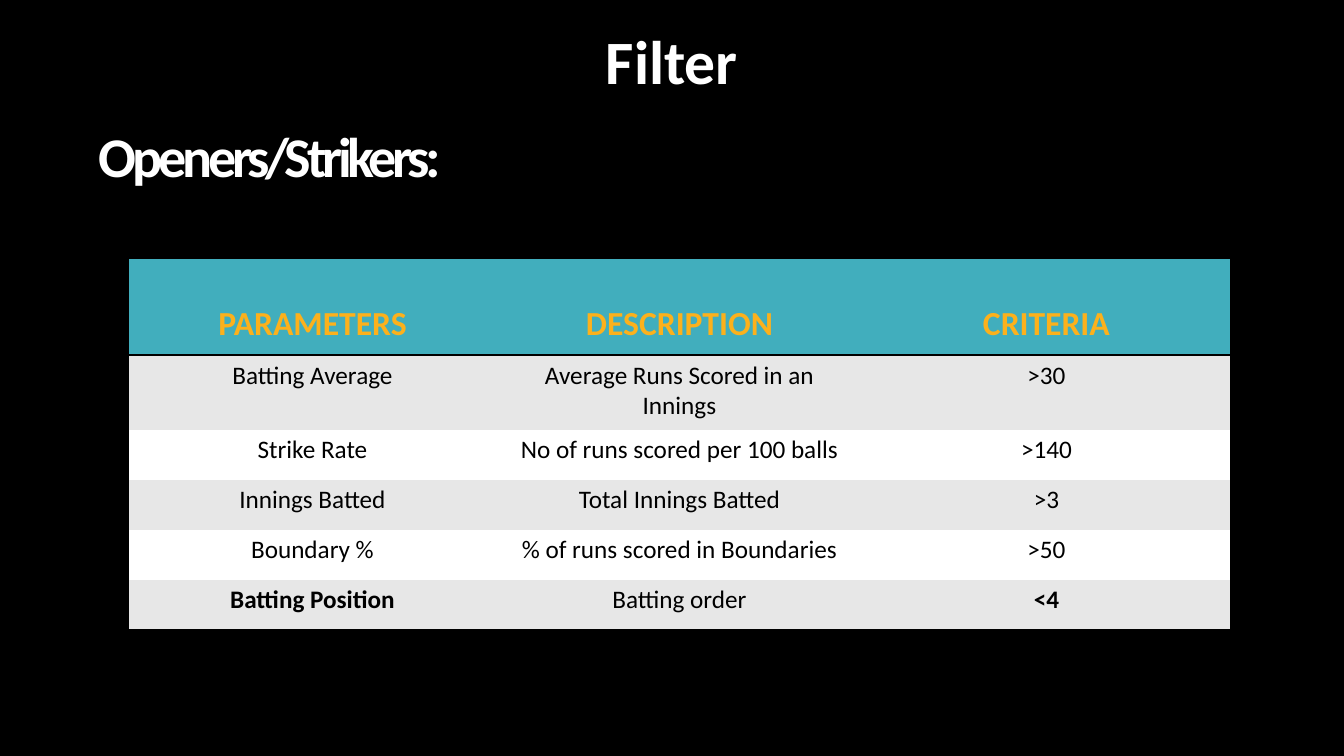
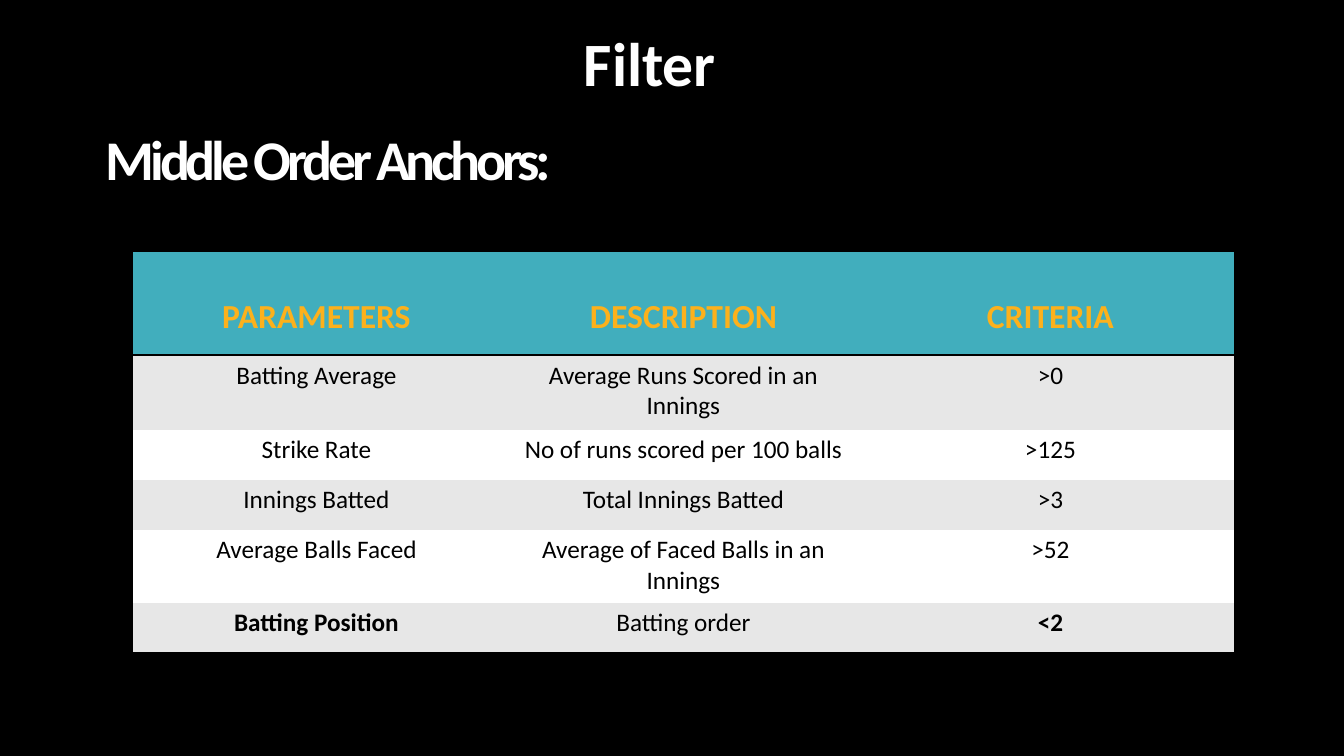
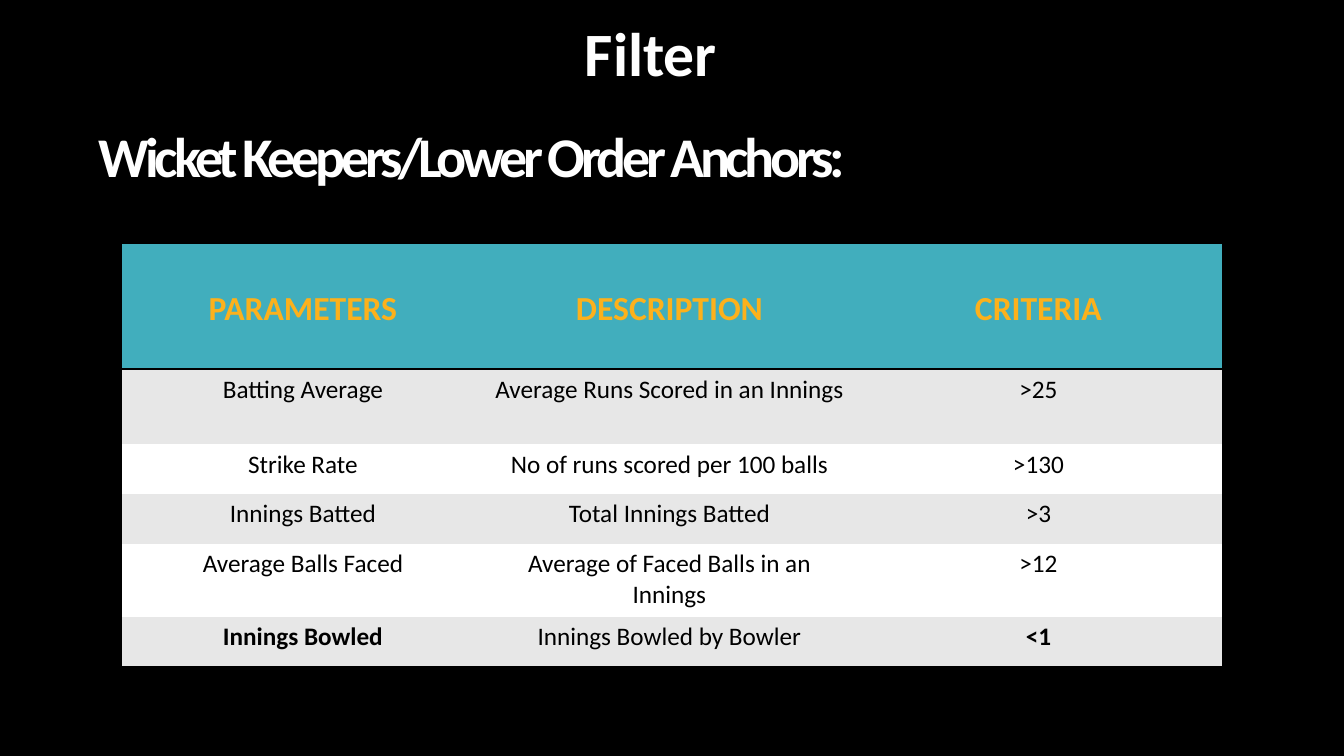
from lxml import etree
from pptx import Presentation
from pptx.dml.color import RGBColor
from pptx.enum.text import MSO_ANCHOR, MSO_AUTO_SIZE, PP_ALIGN
from pptx.oxml.ns import qn
from pptx.util import Pt

LEFT, CENTER = PP_ALIGN.LEFT, PP_ALIGN.CENTER
TOP, BOTTOM = MSO_ANCHOR.TOP, MSO_ANCHOR.BOTTOM
NO_AUTOFIT = MSO_AUTO_SIZE.NONE

BLACK = RGBColor(0x00, 0x00, 0x00)
WHITE = RGBColor(0xFF, 0xFF, 0xFF)
TEAL = RGBColor(0x41, 0xAE, 0xBD)
AMBER = RGBColor(0xFC, 0xB1, 0x1C)
GREY = RGBColor(0xE7, 0xE7, 0xE7)

PAGE_WIDTH, PAGE_HEIGHT = 1344, 756
SCALE = 12192000 / PAGE_WIDTH
FONT = "Calibri"
PLAIN_TABLE = "{2D5ABB26-0587-4C30-8999-92F81FD0307C}"
HEADER_PADDING = 46
RULE_WIDTH = Pt(2)

TITLE = {"size": Pt(44), "bold": True, "color": WHITE}
HEADING = {"size": Pt(40), "bold": True, "color": WHITE}
HEADER = {"size": Pt(24), "bold": True, "color": AMBER}
BODY = {"size": Pt(18), "bold": False, "color": BLACK}
STRONG = {**BODY, "bold": True}

COLUMN_NAMES = ("PARAMETERS", "DESCRIPTION", "CRITERIA")
AVERAGE = ("Batting Average", "Average Runs Scored in an Innings")
STRIKE_RATE = ("Strike Rate", "No of runs scored per 100 balls")
INNINGS = ("Innings Batted", "Total Innings Batted")
BOUNDARY = ("Boundary %", "% of runs scored in Boundaries")
BALLS_FACED = ("Average Balls Faced", "Average of Faced Balls in an Innings")
POSITION = ("Batting Position", "Batting order")
BOWLED = ("Innings Bowled", "Innings Bowled by Bowler")

FILTERS = (
    {
        "title_at": (168, 20),
        "heading": "Openers/Strikers:",
        "heading_at": (89, 124),
        "table_at": (129, 258),
        "columns": (367, 367, 367),
        "rows": (97, 75, 50, 50, 50, 50),
        "criteria": (
            (*AVERAGE, ">30"),
            (*STRIKE_RATE, ">140"),
            (*INNINGS, ">3"),
            (*BOUNDARY, ">50"),
            (*POSITION, "<4"),
        ),
    },
    {
        "title_at": (146, 22),
        "heading": "Middle Order Anchors:",
        "heading_at": (96, 127),
        "table_at": (133, 251),
        "columns": (367, 367, 367),
        "rows": (104, 75, 50, 50, 73, 50),
        "criteria": (
            (*AVERAGE, ">0"),
            (*STRIKE_RATE, ">125"),
            (*INNINGS, ">3"),
            (*BALLS_FACED, ">52"),
            (*POSITION, "<2"),
        ),
    },
    {
        "title_at": (147, 12),
        "heading": "Wicket Keepers/Lower Order Anchors:",
        "heading_at": (89, 124),
        "table_at": (122, 243),
        "columns": (362, 371, 367),
        "rows": (126, 75, 50, 50, 73, 50),
        "criteria": (
            (*AVERAGE, ">25"),
            (*STRIKE_RATE, ">130"),
            (*INNINGS, ">3"),
            (*BALLS_FACED, ">12"),
            (*BOWLED, "<1"),
        ),
    },
)


def px(length):
    return round(length * SCALE)


class FilterDeck:
    def __init__(self):
        self.deck = Presentation()
        self.deck.slide_width = px(PAGE_WIDTH)
        self.deck.slide_height = px(PAGE_HEIGHT)
        self.page = None

    def add_page(self):
        self.page = self.deck.slides.add_slide(self.deck.slide_layouts[6])
        background = self.page.background.fill
        background.solid()
        background.fore_color.rgb = BLACK

    def add_words(self, frame, text, style, align):
        para = frame.paragraphs[0]
        para.alignment = align
        span = para.add_run()
        span.text = text
        span.font.name = FONT
        for name, value in style.items():
            if name == "color":
                span.font.color.rgb = value
            else:
                setattr(span.font, name, value)
        return para

    def text(self, at, size, text, style, align, anchor):
        box = self.page.shapes.add_textbox(*map(px, (*at, *size)))
        settings = {"word_wrap": True, "auto_size": NO_AUTOFIT, "vertical_anchor": anchor}
        for name, value in settings.items():
            setattr(box.text_frame, name, value)
        self.add_words(box.text_frame, text, style, align).line_spacing = 0.9
        return box

    def title(self, at):
        self.text(at, (1008, 83), "Filter", TITLE, CENTER, BOTTOM)

    def heading(self, at, text):
        box = self.text(at, (1008, 60), text, HEADING, LEFT, TOP)
        for properties in box.element.iter(qn("a:rPr")):
            properties.set("spc", "-300")

    def rule(self, properties, index, edge):
        line = etree.Element(qn(f"a:{edge}"), w=str(RULE_WIDTH))
        fill = etree.SubElement(line, qn("a:solidFill"))
        etree.SubElement(fill, qn("a:srgbClr"), val=str(BLACK))
        properties.insert(index, line)

    def table(self, at, columns, rows, records):
        size = (sum(columns), sum(rows))
        frame = self.page.shapes.add_table(len(rows), len(columns), *map(px, (*at, *size)))
        next(frame.element.iter(qn("a:tableStyleId"))).text = PLAIN_TABLE
        grid = frame.table
        for column, width in zip(grid.columns, columns):
            column.width = px(width)
        last = len(rows) - 1
        for index, (row, height, record) in enumerate(zip(grid.rows, rows, records)):
            row.height = px(height)
            for position, (cell, text) in enumerate(zip(row.cells, record)):
                cell.fill.solid()
                if index == 0:
                    color, style = TEAL, HEADER
                    cell.margin_top = px(HEADER_PADDING)
                else:
                    color = GREY if index % 2 else WHITE
                    style = STRONG if index == last and position != 1 else BODY
                cell.fill.fore_color.rgb = color
                self.add_words(cell.text_frame, text, style, CENTER)
        edges = {0: ("lnT", "lnB"), last: ("lnB",)}
        for index, row in enumerate(frame.element.iter(qn("a:tr"))):
            for properties in row.iter(qn("a:tcPr")):
                for order, edge in enumerate(edges.get(index, ())):
                    self.rule(properties, order, edge)


def main():
    slides = FilterDeck()
    for item in FILTERS:
        slides.add_page()
        slides.heading(item["heading_at"], item["heading"])
        slides.title(item["title_at"])
        records = (COLUMN_NAMES, *item["criteria"])
        slides.table(item["table_at"], item["columns"], item["rows"], records)
    slides.deck.save("out.pptx")


if __name__ == "__main__":
    main()
